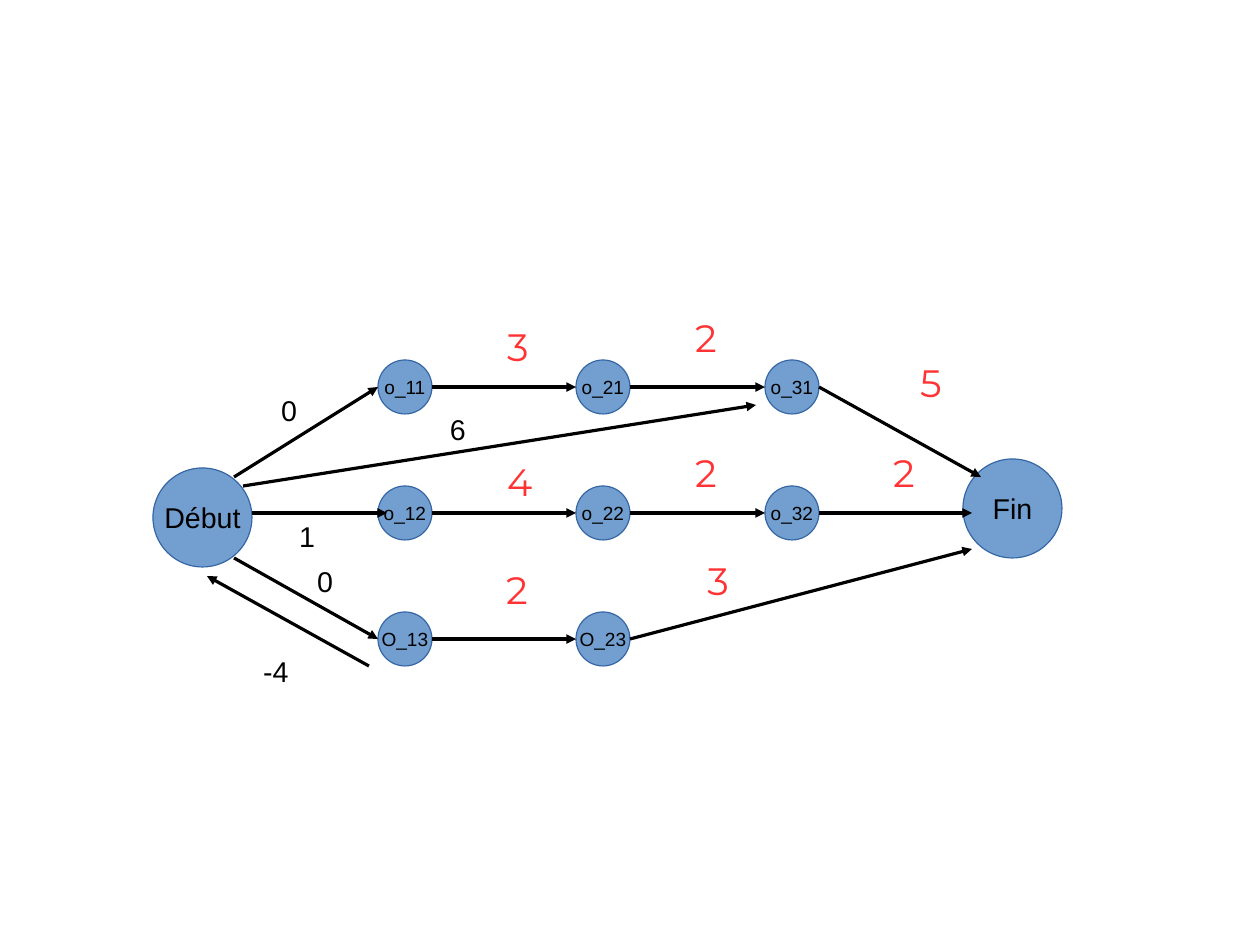
from dataclasses import dataclass
from itertools import pairwise

from lxml import etree
from pptx import Presentation
from pptx.dml.color import RGBColor
from pptx.enum.shapes import MSO_CONNECTOR, MSO_SHAPE
from pptx.enum.text import MSO_ANCHOR, MSO_AUTO_SIZE, PP_ALIGN
from pptx.oxml.ns import qn
from pptx.util import Cm, Pt

NODE_BLUE = RGBColor(0x72, 0x9F, 0xCF)
NODE_EDGE = RGBColor(0x34, 0x65, 0xA4)
BLACK = RGBColor(0, 0, 0)
RED = RGBColor(0xFF, 0x33, 0x33)

JOB_FONT = {"name": "Arial", "size": Pt(12)}
TERMINAL_FONT = {"name": "Arial", "size": Pt(18)}
DURATION_FONT = {"name": "Montserrat", "size": Pt(24)}

JOB_SIZE, TERMINAL_SIZE = 1.2, 2.2
ELLIPSE_LEFT, ELLIPSE_RIGHT = 2, 6  # connection sites of an ellipse

JOB_COLUMNS = (5, 9.4, 13.6)
FIRST_ROW, ROW_STEP = 1.2, 2.8
JOB_ROWS = (("o_11", "o_21", "o_31"), ("o_12", "o_22", "o_32"), ("O_13", "O_23"))

# Operation: duration, place of its label
DURATIONS = {
    "o_11": ("3", (7.62, 0.2)), "o_21": ("2", (11.8, 0)), "o_31": ("5", (16.8, 1)),
    "o_12": ("4", (7.62, 3.2)), "o_22": ("2", (11.8, 3)), "o_32": ("2", (16.2, 3)),
    "O_13": ("2", (7.6, 5.6)), "O_23": ("3", (12.07, 5.4)),
}
# Last operation of each row: where its arc meets Fin
FINISHES = {"o_31": (18.4, 3.8), "o_32": (18.2, 4.6), "O_23": (18.2, 5.4)}
# Weight, label place, label width, arc start, arc end, operation joined at the end
START_ARCS = (
    ("0", (2.6, 1.8), 0.86, (1.8, 3.8), (5, 1.8), "o_11"),
    ("1", (3, 4.6), 0.86, (2.2, 4.6), (5.2, 4.6), None),
    ("0", (3.4, 5.6), 0.86, (1.8, 5.6), (5, 7.4), "O_13"),
    ("-4", (2.2, 7.6), 1.07, (4.8, 8), (1.2, 6), None),
    ("6", (6.35, 2.24), 0.86, (2, 4), (13.4, 2.2), None),
)


@dataclass
class Box:
    left: float
    top: float
    width: float
    height: float

    def at(self, point):
        """Slide position of a point given in cm from the box's corner."""
        return Cm(self.left + point[0]), Cm(self.top + point[1])


def format_font(font, color, values):
    for attribute, value in values.items():
        setattr(font, attribute, value)
    font.color.rgb = color


def draw_node(slide, box, name, point, size, font_values):
    node = slide.shapes.add_shape(MSO_SHAPE.OVAL, *box.at(point), Cm(size), Cm(size))
    node.shadow.inherit = False
    node.fill.solid()
    node.fill.fore_color.rgb = NODE_BLUE
    node.line.color.rgb = NODE_EDGE
    node.line.width = Pt(0)
    frame = node.text_frame
    frame.word_wrap = False
    frame.vertical_anchor = MSO_ANCHOR.MIDDLE
    paragraph = frame.paragraphs[0]
    paragraph.alignment = PP_ALIGN.CENTER
    run = paragraph.add_run()
    run.text = name
    format_font(run.font, BLACK, font_values)
    return node


def draw_arc(slide, box, start, end, source=None, target=None):
    """Draw an arrow, joined to the source's right and the target's left if given."""
    arc = slide.shapes.add_connector(MSO_CONNECTOR.STRAIGHT, *box.at(start), *box.at(end))
    arc.line.color.rgb = BLACK
    arc.line.width = Pt(0)
    etree.SubElement(arc.line._get_or_add_ln(), qn("a:tailEnd"), type="triangle")
    etree.SubElement(arc.element.spPr, qn("a:effectLst"))
    joints = arc.element.find(".//" + qn("p:cNvCxnSpPr"))
    for tag, node, site in (("a:stCxn", source, ELLIPSE_RIGHT),
                            ("a:endCxn", target, ELLIPSE_LEFT)):
        if node is not None:
            etree.SubElement(joints, qn(tag), id=str(node.shape_id), idx=str(site))


def draw_label(slide, box, text, point, size, color, font_values):
    label = slide.shapes.add_textbox(*box.at(point), *map(Cm, size))
    frame = label.text_frame
    frame.word_wrap = False
    run = frame.paragraphs[0].add_run()
    run.text = text
    format_font(run.font, color, font_values)
    return frame


def draw_terminals(slide, box):
    finish_left = box.width - TERMINAL_SIZE
    for name, point in (("Début", (0, 3.6)), ("Fin", (finish_left, 3.4))):
        draw_node(slide, box, name, point, TERMINAL_SIZE, TERMINAL_FONT)


def draw_jobs(slide, box):
    """Draw the rows of operations and return name: (node, left, middle height)."""
    jobs = {}
    for row, names in enumerate(JOB_ROWS):
        top = FIRST_ROW + row * ROW_STEP
        for name, left in zip(names, JOB_COLUMNS):
            node = draw_node(slide, box, name, (left, top), JOB_SIZE, JOB_FONT)
            jobs[name] = node, left, top + JOB_SIZE / 2
    return jobs


def draw_job_arcs(slide, box, jobs):
    for names in JOB_ROWS:
        for before, after in pairwise(names):
            source, left, middle = jobs[before]
            target, target_left, _ = jobs[after]
            draw_arc(slide, box, (left + JOB_SIZE, middle), (target_left, middle),
                     source, target)
    for name, end in FINISHES.items():
        source, left, middle = jobs[name]
        draw_arc(slide, box, (left + JOB_SIZE, middle), end, source)
    for duration, point in DURATIONS.values():
        frame = draw_label(slide, box, duration, point, (0.76, 1.4), RED, DURATION_FONT)
        frame.vertical_anchor = MSO_ANCHOR.MIDDLE


def draw_start_arcs(slide, box, jobs):
    for weight, point, width, start, end, name in START_ARCS:
        draw_arc(slide, box, start, end, target=jobs[name][0] if name else None)
        frame = draw_label(slide, box, weight, point, (width, 0.97), BLACK, TERMINAL_FONT)
        frame.auto_size = MSO_AUTO_SIZE.SHAPE_TO_FIT_TEXT


def draw_schedule_graph(slide, box):
    draw_terminals(slide, box)
    jobs = draw_jobs(slide, box)
    draw_job_arcs(slide, box, jobs)
    draw_start_arcs(slide, box, jobs)


def main():
    presentation = Presentation()
    presentation.slide_width, presentation.slide_height = Cm(28), Cm(21)
    slide = presentation.slides.add_slide(presentation.slide_layouts[6])
    draw_schedule_graph(slide, Box(3.4, 6.8, 20.2, 8.6))
    presentation.save("out.pptx")


if __name__ == "__main__":
    main()
